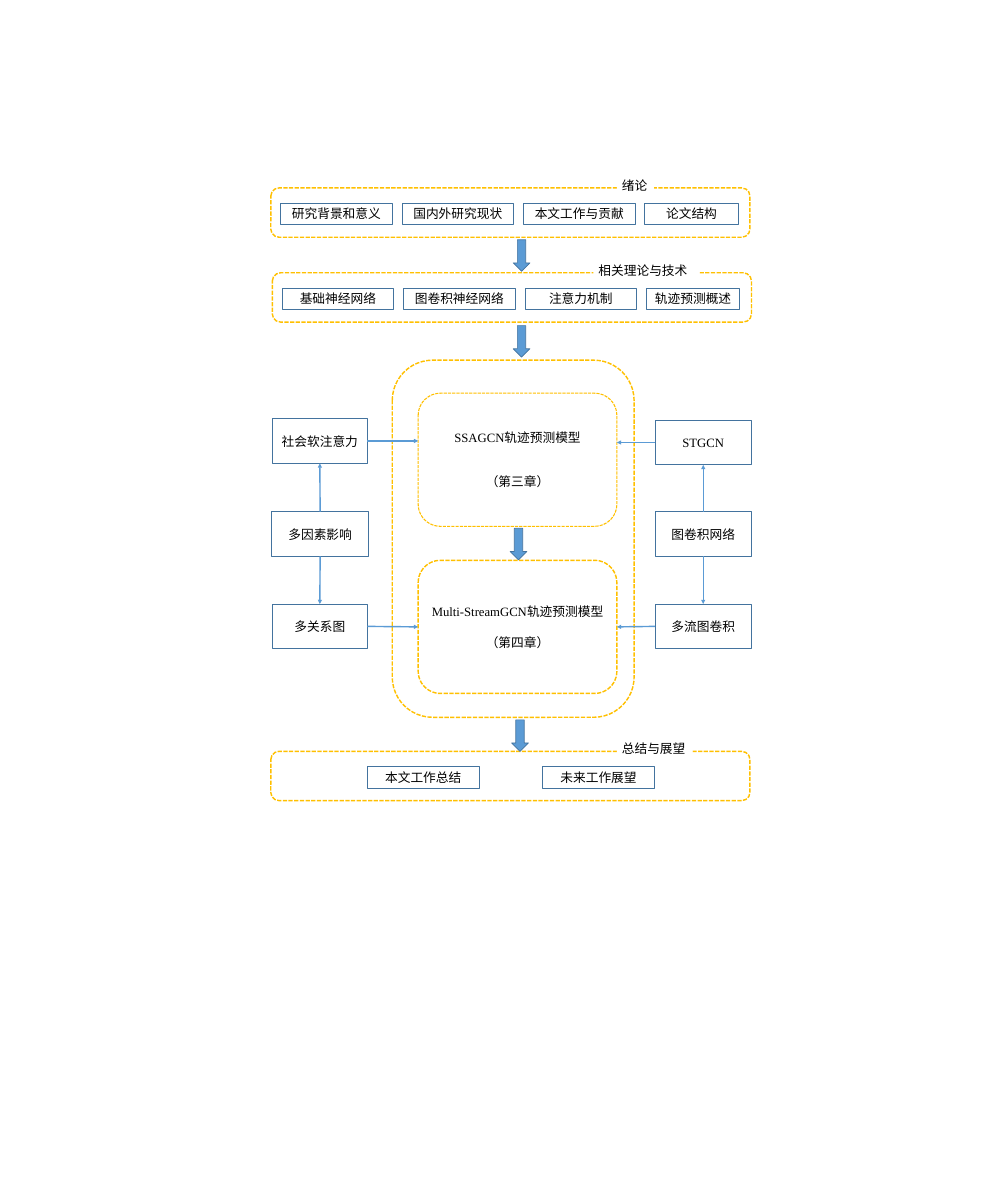
import pptx
import pptx.util
import pptx.dml.color
import pptx.enum.dml
import pptx.enum.shapes
import pptx.enum.text
import pptx.oxml.ns
import lxml.etree

PX = 9144
WHITE = pptx.dml.color.RGBColor(0xFF, 0xFF, 0xFF)
BLACK = pptx.dml.color.RGBColor(0x00, 0x00, 0x00)
GOLD = pptx.dml.color.RGBColor(0xFF, 0xC0, 0x00)
BLUE = pptx.dml.color.RGBColor(0x5B, 0x9B, 0xD5)
NAVY = pptx.dml.color.RGBColor(0x43, 0x73, 0x9E)
SANS, SERIF, CJK = "Calibri", "Times New Roman", "Noto Sans CJK SC"
SHAPE = pptx.enum.shapes.MSO_SHAPE
ALIGN = pptx.enum.text.PP_ALIGN
TOP, LEFT, BOTTOM, RIGHT = range(4)


def add_box(page, kind, area, fill=WHITE, line=NAVY, weight=1):
    """Add a filled preset shape with an optional outline."""
    box = page.shapes.add_shape(kind, *(value * PX for value in area))
    box.shadow.inherit = False
    box.fill.solid()
    box.fill.fore_color.rgb = fill
    if line is None:
        box.line.fill.background()
    else:
        box.line.color.rgb = line
        box.line.width = pptx.util.Pt(weight)
    return box


def add_frame(page, area, weight=2):
    """Add a rounded frame with a dashed gold outline."""
    frame = add_box(page, SHAPE.ROUNDED_RECTANGLE, area, line=GOLD, weight=weight)
    frame.line.dash_style = pptx.enum.dml.MSO_LINE.SQUARE_DOT
    return frame


def add_run(para, text, font):
    """Append one black 18-point run."""
    span = para.add_run()
    span.text = text
    span.font.name = font
    span.font.size = pptx.util.Pt(18)
    span.font.color.rgb = BLACK


def add_card(page, area, text, font=SANS):
    """Add an outlined rectangle with centred text."""
    card = add_box(page, SHAPE.RECTANGLE, area)
    card.text_frame.margin_left = card.text_frame.margin_right = 0
    para = card.text_frame.paragraphs[0]
    para.alignment = ALIGN.CENTER
    add_run(para, text, font)
    return card


def add_label(page, area, text):
    """Add a white caption that interrupts a frame's top edge."""
    label = add_box(page, SHAPE.RECTANGLE, area, line=None)
    label.text_frame.word_wrap = True
    label.text_frame.vertical_anchor = pptx.enum.text.MSO_ANCHOR.TOP
    para = label.text_frame.paragraphs[0]
    para.alignment = ALIGN.LEFT
    add_run(para, text, SANS)


def add_band(page, left, top, caption, cards):
    """Add a chapter band with its cards and caption."""
    add_frame(page, (left, top, 943, 97))
    for offset, width, text in cards:
        add_card(page, (left + offset, top + 30, width, 42), text)
    offset, width, text = caption
    add_label(page, (left + offset, top - 25, width, 40), text)


def add_model(page, left, top, name, chapter, gap, weight):
    """Add a model frame holding its name and chapter."""
    model = add_frame(page, (left, top, 391, 262), weight)
    text_frame = model.text_frame
    text_frame.margin_left = text_frame.margin_right = 0
    heading, footing = text_frame.paragraphs[0], text_frame.add_paragraph()
    heading.alignment = footing.alignment = ALIGN.CENTER
    add_run(heading, name, SERIF)
    add_run(heading, "轨迹预测模型", CJK)
    footing.space_before = pptx.util.Pt(gap)
    add_run(footing, chapter, SANS)
    return model


def add_column(page, left, cards):
    """Add a column of cards whose middle card points to the outer two."""
    upper, middle, lower = [
        add_card(page, (left + inset, top, width, 88), text, font)
        for inset, top, width, text, font in cards
    ]
    add_arrow(page, middle, TOP, upper, BOTTOM)
    add_arrow(page, middle, BOTTOM, lower, TOP)
    return upper, lower


def add_arrow(page, source, source_side, target, target_side=None):
    """Link two shapes, or run level to the target's near edge without a side."""
    arrow = page.shapes.add_connector(pptx.enum.shapes.MSO_CONNECTOR.STRAIGHT, 0, 0, 0, 0)
    arrow.begin_connect(source, source_side)
    if target_side is None:
        arrow.end_x = target.left if source_side == RIGHT else target.left + target.width
        arrow.end_y = arrow.begin_y
    else:
        arrow.end_connect(target, target_side)
    arrow.line.color.rgb = BLUE
    arrow.line.width = pptx.util.Pt(2)
    outline = arrow.line._get_or_add_ln()
    lxml.etree.SubElement(outline, pptx.oxml.ns.qn("a:tailEnd"), type="triangle")
    lxml.etree.SubElement(arrow._element.spPr, pptx.oxml.ns.qn("a:effectLst"))


def add_models(page, left, top):
    """Add the central models and the side columns feeding them."""
    add_frame(page, (left, top, 476, 703))
    first = add_model(page, left + 51, top + 65, "SSAGCN", "（第三章）", 41, 1.5)
    second = add_model(page, left + 51, top + 394, "Multi-StreamGCN", "（第四章）", 21, 2)
    factors = add_column(page, left - 237, (
        (1, top + 115, 187, "社会软注意力", SANS),
        (0, top + 298, 190, "多因素影响", SANS),
        (1, top + 480, 187, "多关系图", SANS),
    ))
    networks = add_column(page, left + 517, (
        (0, top + 118, 190, "STGCN", SERIF),
        (0, top + 298, 190, "图卷积网络", SANS),
        (0, top + 480, 190, "多流图卷积", SANS),
    ))
    for (upper, lower), near, far in ((factors, RIGHT, LEFT), (networks, LEFT, RIGHT)):
        add_arrow(page, upper, near, first)
        add_arrow(page, lower, near, second, far)


def four_cards(texts):
    """Lay out four cards at an equal pitch, the last one narrower."""
    return [(19 + 239 * i, 184 if i == 3 else 220, text) for i, text in enumerate(texts)]


def main():
    """Build the thesis structure slide."""
    deck = pptx.Presentation()
    deck.slide_width, deck.slide_height = 1970 * PX, 2370 * PX
    page = deck.slides.add_slide(deck.slide_layouts[6])
    add_band(page, 533, 370, (681, 73, "绪论"), four_cards(
        ("研究背景和意义", "国内外研究现状", "本文工作与贡献", "论文结构")))
    add_band(page, 536, 537, (632, 209, "相关理论与技术"), four_cards(
        ("基础神经网络", "图卷积神经网络", "注意力机制", "轨迹预测概述")))
    add_models(page, 772, 709)
    add_band(page, 533, 1479, (681, 149, "总结与展望"),
             ((190, 220, "本文工作总结"), (535, 220, "未来工作展望")))
    for left, top in ((1010, 472), (1010, 641), (1004, 1040), (1007, 1417)):
        add_box(page, SHAPE.DOWN_ARROW, (left, top, 33, 62), fill=BLUE)
    deck.save("out.pptx")


if __name__ == "__main__":
    main()
